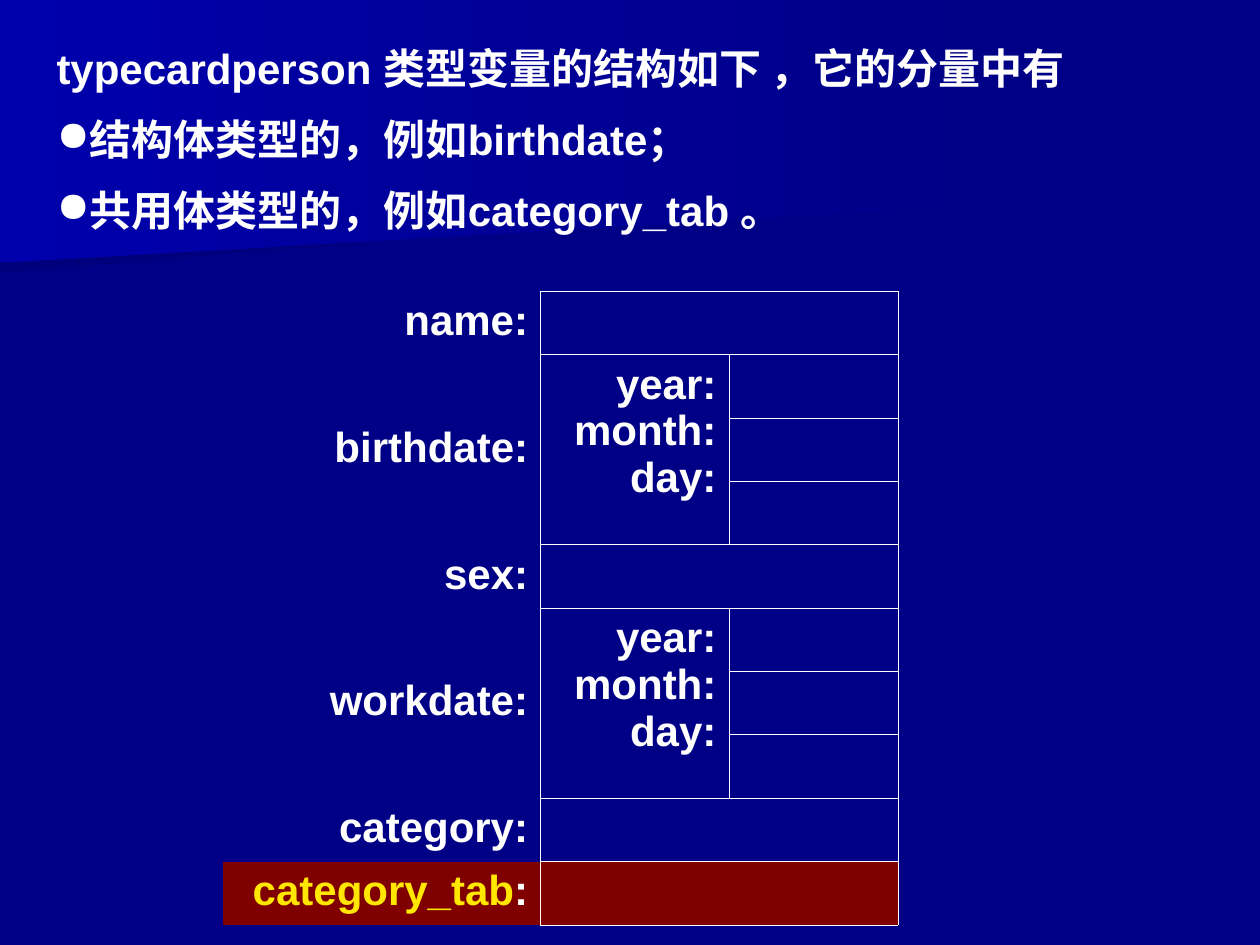
from lxml.etree import SubElement
from pptx import Presentation
from pptx.dml.color import RGBColor
from pptx.enum.text import PP_ALIGN as Align
from pptx.oxml.ns import qn
from pptx.util import Pt

NAVY, WHITE, MAROON, YELLOW = "000086", "FFFFFF", "800000", "FFE701"
DATE_PARTS = ["year:", "month:", "day:"]
# Each member: label runs, parts inside the member, fill
MEMBERS = [
    ([("name:", WHITE)], [], None),
    ([("birthdate:", WHITE)], DATE_PARTS, None),
    ([("sex:", WHITE)], [], None),
    ([("workdate:", WHITE)], DATE_PARTS, None),
    ([("category:", WHITE)], [], None),
    ([("category_tab", YELLOW), (":", WHITE)], [], MAROON),
]


def rgb(code):
    return RGBColor.from_string(code)


class SlideBuilder:
    font_name = "Arial"
    font_size = 24
    border_width = 0.45

    def __init__(self, slide):
        self.slide = slide

    def background(self, color):
        fill = self.slide.background.fill
        fill.solid()
        fill.fore_color.rgb = rgb(color)

    def gradient_band(self, points, right_color, left_color):
        builder = self.slide.shapes.build_freeform(*points[0], scale=Pt(1))
        builder.add_line_segments(points[1:], close=True)
        band = builder.convert_to_shape()
        band.shadow.inherit = False
        band.line.fill.background()
        band.fill.gradient()
        band.fill.gradient_angle = 180
        for stop, color in zip(band.fill.gradient_stops, (right_color, left_color)):
            stop.color.rgb = rgb(color)

    def runs(self, paragraph, pieces):
        for words, color in pieces:
            run = paragraph.add_run()
            run.text = words
            run.font.name = self.font_name
            run.font.size = Pt(self.font_size)
            run.font.bold = True
            run.font.color.rgb = rgb(color)

    def bullet(self, paragraph, symbol, indent):
        props = paragraph._p.get_or_add_pPr()
        props.set("marL", str(Pt(indent)))
        props.set("indent", str(-Pt(indent)))
        SubElement(props, qn("a:buChar"), char=symbol)

    def intro(self, left, top, width, height, heading, points):
        frame = self.slide.shapes.add_textbox(
            Pt(left), Pt(top), Pt(width), Pt(height)).text_frame
        frame.word_wrap = True
        for index, words in enumerate([heading, *points]):
            paragraph = frame.add_paragraph() if index else frame.paragraphs[0]
            paragraph.line_spacing = 1.2
            if index:
                paragraph.space_before = Pt(6)
                self.bullet(paragraph, "●", 14.4)
            self.runs(paragraph, [(words, WHITE)])

    def cell_style(self, cell, sides, fill):
        """Draw borders on the given sides (of L, R, T, B) and fill the cell."""
        props = cell._tc.get_or_add_tcPr()
        for side in "LRTB":
            line = SubElement(props, qn(f"a:ln{side}"), w=str(Pt(self.border_width)))
            if side in sides:
                paint = SubElement(line, qn("a:solidFill"))
                SubElement(paint, qn("a:srgbClr"), val=WHITE)
            else:
                SubElement(line, qn("a:noFill"))
        if fill:
            cell.fill.solid()
            cell.fill.fore_color.rgb = rgb(fill)
        else:
            cell.fill.background()

    def cell_lines(self, cell, lines):
        for index, pieces in enumerate(lines):
            frame = cell.text_frame
            paragraph = frame.add_paragraph() if index else frame.paragraphs[0]
            paragraph.alignment = Align.RIGHT
            self.runs(paragraph, pieces)

    def record_table(self, left, top, widths, row_height, members):
        row_count = sum(len(parts) or 1 for _, parts, _ in members)
        table = self.slide.shapes.add_table(
            row_count, len(widths), Pt(left), Pt(top),
            Pt(sum(widths)), Pt(row_height * row_count)).table
        table.first_row = table.horz_banding = False
        for column, width in zip(table.columns, widths):
            column.width = Pt(width)
        for row in table.rows:
            row.height = Pt(row_height)

        first = 0
        for label, parts, fill in members:
            last = first + (len(parts) or 1) - 1
            for row in range(first, last + 1):
                for column, sides in enumerate(("R", "LRTB", "LRTB")):
                    self.cell_style(table.cell(row, column), sides, fill)
            self.cell_lines(table.cell((first + last) // 2, 0), [label])
            value = table.cell(first, 1)
            value.merge(table.cell(last, 1 if parts else 2))
            self.cell_lines(value, [[(part, WHITE)] for part in parts])
            first = last + 1


def main():
    deck = Presentation()
    deck.slide_width, deck.slide_height = Pt(720), Pt(540)
    builder = SlideBuilder(deck.slides.add_slide(deck.slide_layouts[6]))
    builder.background(NAVY)
    builder.gradient_band(
        [(560, 110), (0, 156), (0, 73), (561, 73), (560, 92)], NAVY, "00007D")
    builder.gradient_band(
        [(570, 117), (0, 150), (0, 0), (570, 0)], NAVY, "0000AC")
    builder.intro(25.2, 15, 646.6, 136, "typecardperson 类型变量的结构如下 ，它的分量中有", [
        "结构体类型的，例如birthdate；",
        "共用体类型的，例如category_tab 。",
    ])
    builder.record_table(127.4, 166.5, [181.6, 107.6, 96.6], 36.2, MEMBERS)
    deck.save("out.pptx")


if __name__ == "__main__":
    main()
